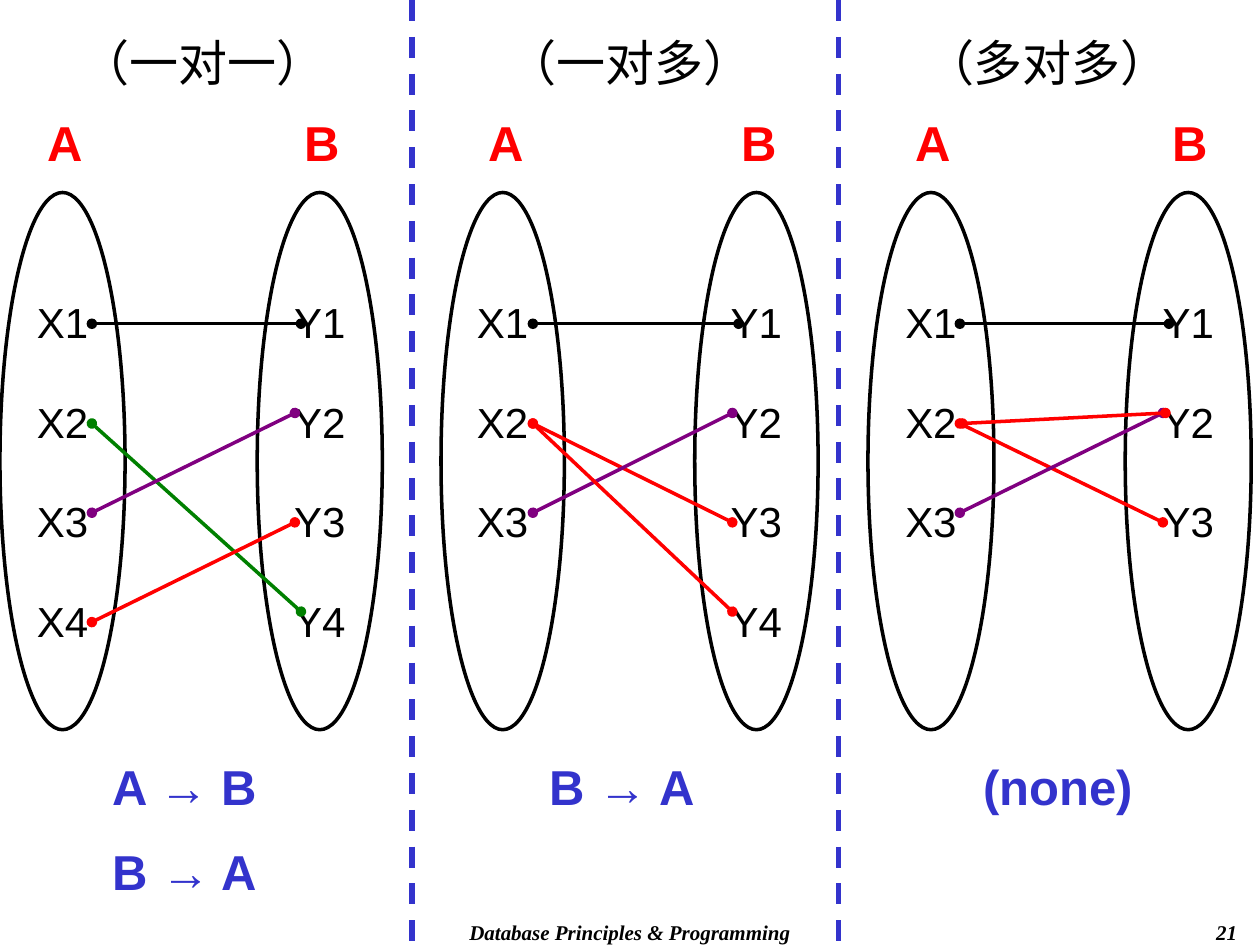
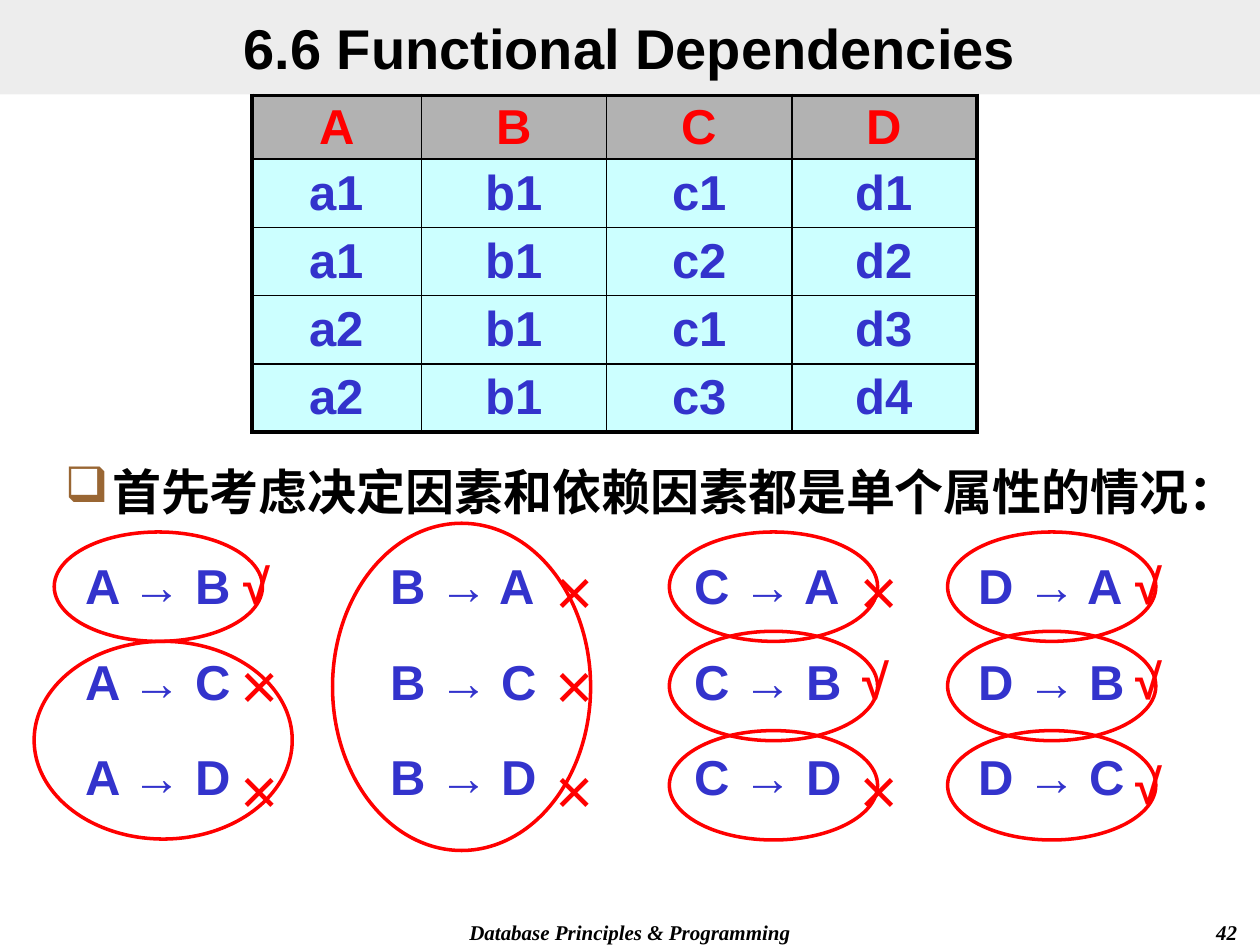
from lxml.etree import SubElement
from pptx import Presentation
from pptx.dml.color import RGBColor
from pptx.enum.dml import MSO_LINE
from pptx.enum.shapes import MSO_CONNECTOR, MSO_SHAPE
from pptx.enum.text import MSO_ANCHOR, PP_ALIGN
from pptx.oxml.ns import qn
from pptx.util import Pt

HUES = {
    "black": "000000", "white": "FFFFFF", "red": "FF0000", "blue": "3333CC",
    "green": "008000", "purple": "800080", "band": "DDDDDD",
    "head": "B2B2B2", "cell": "CCFFFF", "bullet": "996633",
}
HUE = {name: RGBColor.from_string(code) for name, code in HUES.items()}
LEFT, MID, RIGHT = PP_ALIGN.LEFT, PP_ALIGN.CENTER, PP_ALIGN.RIGHT
SANS, SERIF, HAN = "Arial", "Times New Roman", "Noto Sans CJK SC"


def put(slide, kind, x, y, w, h, fill=None, line=None):
    """Add a preset shape, or a text box when kind is None."""
    spot = Pt(x), Pt(y), Pt(w), Pt(h)
    if kind is None:
        shape = slide.shapes.add_textbox(*spot)
    else:
        shape = slide.shapes.add_shape(kind, *spot)
        shape.shadow.inherit = False
        shape.fill.background()
        shape.line.fill.background()
    if fill:
        shape.fill.solid()
        shape.fill.fore_color.rgb = HUE[fill]
    if line:
        shape.line.color.rgb = HUE[line]
        shape.line.width = Pt(2)
    shape.text_frame.word_wrap = True
    shape.text_frame.vertical_anchor = MSO_ANCHOR.TOP
    return shape


def write(frame, text, size, hue, align=MID, font=SANS, bold=True,
          slant=False, gap=0, pitch=None, han=False):
    """Fill a text frame, one paragraph a line, and format its runs."""
    frame.text = text
    for i, para in enumerate(frame.paragraphs):
        para.alignment = align
        para.line_spacing = pitch
        para.space_before = Pt(gap if i else 0)
        for run in para.runs:
            face = run.font
            face.name, face.size = font, Pt(size)
            face.bold, face.italic = bold, slant
            face.color.rgb = HUE[hue]
            if han:
                SubElement(run.font._element, qn("a:ea"), typeface=HAN)


deck = Presentation()
deck.slide_width, deck.slide_height = Pt(720), Pt(540)
slides = []
for number in ("21", "42"):
    slide = deck.slides.add_slide(deck.slide_layouts[6])
    slides.append(slide)
    for x, w, text, align in ((204, 312, "Database Principles & Programming", MID),
                              (564, 150, number, RIGHT)):
        note = put(slide, None, x, 522, w, 18)
        write(note.text_frame, text, 12, "black", align, SERIF, slant=True)

# Slide 1: three kinds of mapping between the sets A and B
maps, deps = slides
FROM_Y = (185, 242, 293, 355.5)
TO_Y = (185, 236, 298.5, 349.5)
# Links: item of A, item of B, colour, nudge of start and of end
straight = (0, 0, "black", 0, 3.5)
rise = (2, 1, "purple", 0, 0)
fall = (1, 2, "red", 0, 0)
# Panels: title, title x, set x, set width, set step, sizes, result, result x, links
panels = (
    ("（一对一）", 19.5, 0, 71.5, 147, (4, 4), "A → B\nB → A", 42.5,
     (straight, (1, 3, "green", 0, 3.5), rise, (3, 2, "red", 0, 0))),
    ("（一对多）", 263.5, 252, 70.5, 145, (3, 4), "B → A", 292.5,
     (straight, fall, rise, (1, 3, "red", 0, 0))),
    ("（多对多）", 502, 496, 72, 147, (3, 3), "(none)", 541.5,
     (straight, fall, rise, (1, 1, "red", 1.5, 1.5))),
)
strokes = [(x, 0, x, 540, "blue", 3) for x in (235.5, 479)]
for title, title_x, left, wide, step, sizes, result, end_x, links in panels:
    for col, (name, item, size) in enumerate(zip("AB", "XY", sizes)):
        x = left + col * step
        oval = put(maps, MSO_SHAPE.OVAL, x, 110, wide, 307, line="black")
        oval.text_frame.margin_top = oval.text_frame.margin_bottom = 0
        items = "\n".join(f"{item}{i + 1}" for i in range(size))
        write(oval.text_frame, items, 24, "black", bold=False, gap=13.8, pitch=1.5)
        label = put(maps, None, x + 6, 60.5, 62, 41)
        write(label.text_frame, name, 28, "red")
    head = put(maps, None, title_x, 15, 193, 41)
    write(head.text_frame, title, 28, "black", font=HAN, bold=False, han=True)
    end = put(maps, None, end_x, 428.5, 126, 41)
    write(end.text_frame, result, 28, "blue", gap=15)
    for a, b, hue, near, far in links:
        strokes.append((left + 52.5 + near, FROM_Y[a],
                        left + step + 21.5 + far, TO_Y[b], hue, 2))

for x, y, to_x, to_y, hue, width in strokes:
    stroke = maps.shapes.add_connector(
        MSO_CONNECTOR.STRAIGHT, Pt(x), Pt(y), Pt(to_x), Pt(to_y))
    stroke.line.color.rgb = HUE[hue]
    stroke.line.width = Pt(width)
    props = stroke.element.spPr
    if width == 3:
        stroke.line.dash_style = MSO_LINE.DASH
    else:
        for tag in ("a:headEnd", "a:tailEnd"):
            SubElement(props.find(qn("a:ln")), qn(tag), type="oval")
    SubElement(props, qn("a:effectLst"))

# Slide 2: title band, lead line and table
band = put(deps, MSO_SHAPE.RECTANGLE, 0, 0, 720, 54, fill="band")
SubElement(next(band.element.spPr.iter(qn("a:srgbClr"))), qn("a:alpha"), val="50000")
band.text_frame.vertical_anchor = MSO_ANCHOR.MIDDLE
band.text_frame.margin_top = band.text_frame.margin_bottom = 0
write(band.text_frame, "6.6 Functional Dependencies", 32, "black")

lead = put(deps, None, 30, 260, 690, 48)
write(lead.text_frame, "首先考虑决定因素和依赖因素都是单个属性的情况：", 28, "black", LEFT, han=True)
props = lead.text_frame.paragraphs[0]._p.get_or_add_pPr()
props.set("marL", str(Pt(27)))
props.set("indent", str(-Pt(27)))
SubElement(SubElement(props, qn("a:buClr")), qn("a:srgbClr"), val=HUES["bullet"])
SubElement(props, qn("a:buChar"), char="❑")

rows = ("A B C D", "a1 b1 c1 d1", "a1 b1 c2 d2", "a2 b1 c1 d3", "a2 b1 c3 d4")
grid = deps.shapes.add_table(5, 4, Pt(144), Pt(54.5), Pt(414), Pt(193)).table
for c, column in enumerate(grid.columns):
    column.width = Pt(105.75 if c else 97)
for r, row in enumerate(rows):
    grid.rows[r].height = Pt(39 if r else 36.5)
    for c, text in enumerate(row.split()):
        cell = grid.cell(r, c)
        cell.margin_top = cell.margin_bottom = 0
        cell.vertical_anchor = MSO_ANCHOR.MIDDLE
        write(cell.text_frame, text, 28, "blue" if r else "red")
        edges = (("L", c == 0), ("R", c == 3), ("T", r == 0), ("B", r == 4))
        for side, outer in edges:
            edge = SubElement(cell._tc.get_or_add_tcPr(), qn("a:ln" + side),
                              w=str(Pt(2.25 if outer else 1)))
            SubElement(SubElement(edge, qn("a:solidFill")), qn("a:srgbClr"),
                       val=HUES["black"])
        cell.fill.solid()
        cell.fill.fore_color.rgb = HUE["cell" if r else "head"]

# Four columns of dependencies: source, x, width, height, mark x, marks
columns = (
    ("A", 42, 150, 156, 132, "√☓☓"),
    ("B", 216, 144, 174, 312, "☓☓☓"),
    ("C", 390, 138, 174, 486, "☓√☓"),
    ("D", 552, 144, 174, 642, "√√√"),
)
for source, x, w, h, _, _ in columns:
    box = put(deps, MSO_SHAPE.RECTANGLE, x, 314, w, h, fill="white")
    text = "\n".join(f"{source} → {goal}" for goal in "ABCD" if goal != source)
    write(box.text_frame, text, 28, "blue", LEFT, gap=21)
for _, _, _, _, x, marks in columns:
    for mark, y in zip(marks, (314, 368, 428)):
        if mark == "√":
            sign = put(deps, None, x, y, 48, 48)
            write(sign.text_frame, mark, 28, "red", LEFT)
        else:
            sign = put(deps, None, x, y + 6, 48, 42)
            write(sign.text_frame, mark, 24, "red", LEFT, SERIF)

rings = [(190, 299, 147.5, 187), (19.5, 366.5, 147.5, 113)]
for x, count in ((31, 1), (382.5, 3), (541.5, 3)):
    rings += [(x, 304 + 56.75 * i, 119, 62.5) for i in range(count)]
for ring in rings:
    put(deps, MSO_SHAPE.OVAL, *ring, line="red")

deck.save("out.pptx")
